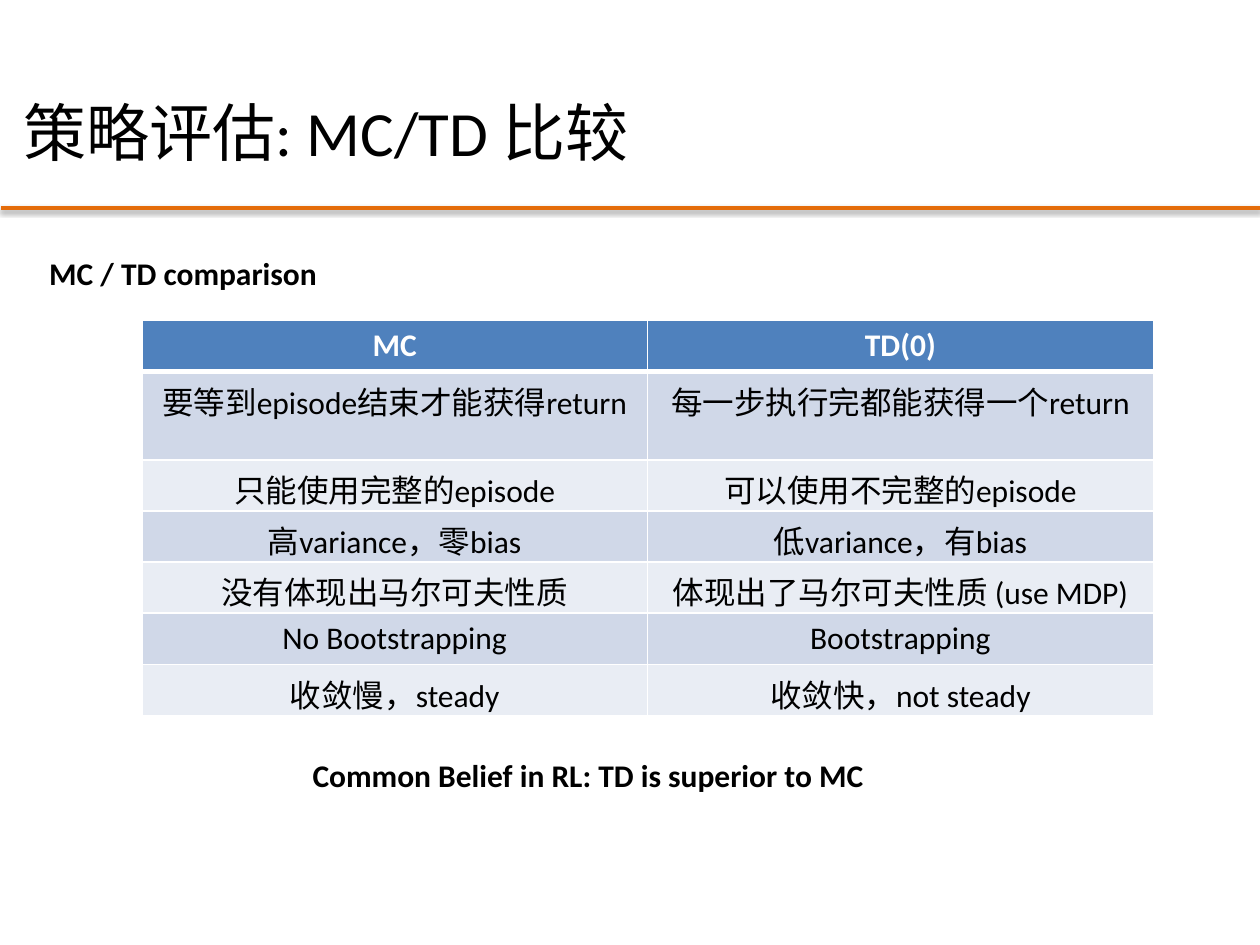
from lxml import etree
from pptx import Presentation
from pptx.dml.color import RGBColor
from pptx.enum.shapes import MSO_CONNECTOR
from pptx.enum.text import MSO_ANCHOR, MSO_AUTO_SIZE, PP_ALIGN
from pptx.oxml import parse_xml
from pptx.oxml.ns import nsdecls
from pptx.util import Pt

STRAIGHT = MSO_CONNECTOR.STRAIGHT
MIDDLE = MSO_ANCHOR.MIDDLE
FIT_SHAPE = MSO_AUTO_SIZE.SHAPE_TO_FIT_TEXT
CENTER = PP_ALIGN.CENTER

BLACK, WHITE, ORANGE = "000000", "FFFFFF", "E46C0A"
HEADER_BLUE, BAND_DARK, BAND_LIGHT = "4F81BD", "D0D8E8", "E9EDF4"


def rgb(value):
    return RGBColor.from_string(value)


def write(paragraph, text, size, color=BLACK, bold=False):
    paragraph.text = text
    font = paragraph.font
    font.name = "Calibri"
    font.size = Pt(size)
    font.bold = bold
    font.color.rgb = rgb(color)


prs = Presentation()
prs.slide_width, prs.slide_height = Pt(720), Pt(540)
slide = prs.slides.add_slide(prs.slide_layouts[6])

# Title and the rule below it
title = slide.shapes.add_textbox(Pt(6.5), Pt(6.5), Pt(612), Pt(116)).text_frame
title.word_wrap = True
title.vertical_anchor = MIDDLE
write(title.paragraphs[0], "策略评估: MC/TD 比较", 36)
title.paragraphs[0].line_spacing = 1.5

rule = slide.shapes.add_connector(STRAIGHT, Pt(0.5), Pt(118.8), Pt(720), Pt(118.8))
rule.line.color.rgb = rgb(ORANGE)
rule.line.width = Pt(2)
rule._element.spPr.append(parse_xml(
    f'<a:effectLst {nsdecls("a")}>'
    f'<a:outerShdw blurRad="{Pt(3.1)}" dist="{Pt(1.6)}" dir="5400000" rotWithShape="0">'
    f'<a:srgbClr val="{BLACK}"><a:alpha val="38000"/></a:srgbClr>'
    '</a:outerShdw></a:effectLst>'))

# Statements above and below the table
statements = [
    ("MC / TD comparison", (21, 131, 169, 136), 1.5),
    ("Common Belief in RL: TD is superior to MC", (171.5, 428.5, 333.5, 29), 1),
]
for text, box, spacing in statements:
    statement = slide.shapes.add_textbox(*map(Pt, box)).text_frame
    statement.word_wrap = False
    statement.auto_size = FIT_SHAPE
    write(statement.paragraphs[0], text, 18, bold=True)
    statement.paragraphs[0].line_spacing = spacing

# Comparison table
comparison = [
    ("MC", "TD(0)"),
    ("要等到episode结束才能获得return", "每一步执行完都能获得一个return"),
    ("只能使用完整的episode", "可以使用不完整的episode"),
    ("高variance，零bias", "低variance，有bias"),
    ("没有体现出马尔可夫性质", "体现出了马尔可夫性质 (use MDP)"),
    ("No Bootstrapping", "Bootstrapping"),
    ("收敛慢，steady", "收敛快，not steady"),
]
ROW_HEIGHT = 29.2
table = slide.shapes.add_table(
    len(comparison), 2, Pt(81), Pt(183.2), Pt(578), Pt(ROW_HEIGHT * len(comparison))
).table
for row, texts in enumerate(comparison):
    table.rows[row].height = Pt(ROW_HEIGHT)
    is_header = row == 0
    band = HEADER_BLUE if is_header else BAND_DARK if row % 2 else BAND_LIGHT
    edges = {"L": 1, "R": 1, "T": 3 if row == 1 else 1, "B": 3 if is_header else 1}
    for column, text in enumerate(texts):
        cell = table.cell(row, column)
        cell.fill.solid()
        cell.fill.fore_color.rgb = rgb(band)
        paragraph = cell.text_frame.paragraphs[0]
        paragraph.alignment = CENTER
        write(paragraph, text, 18, WHITE if is_header else BLACK, is_header)
        cell_properties = cell._tc.get_or_add_tcPr()
        for position, (side, width) in enumerate(edges.items()):
            cell_properties.insert(position, etree.fromstring(
                f'<a:ln{side} {nsdecls("a")} w="{Pt(width)}"><a:solidFill>'
                f'<a:srgbClr val="{WHITE}"/></a:solidFill></a:ln{side}>'))

prs.save("out.pptx")
